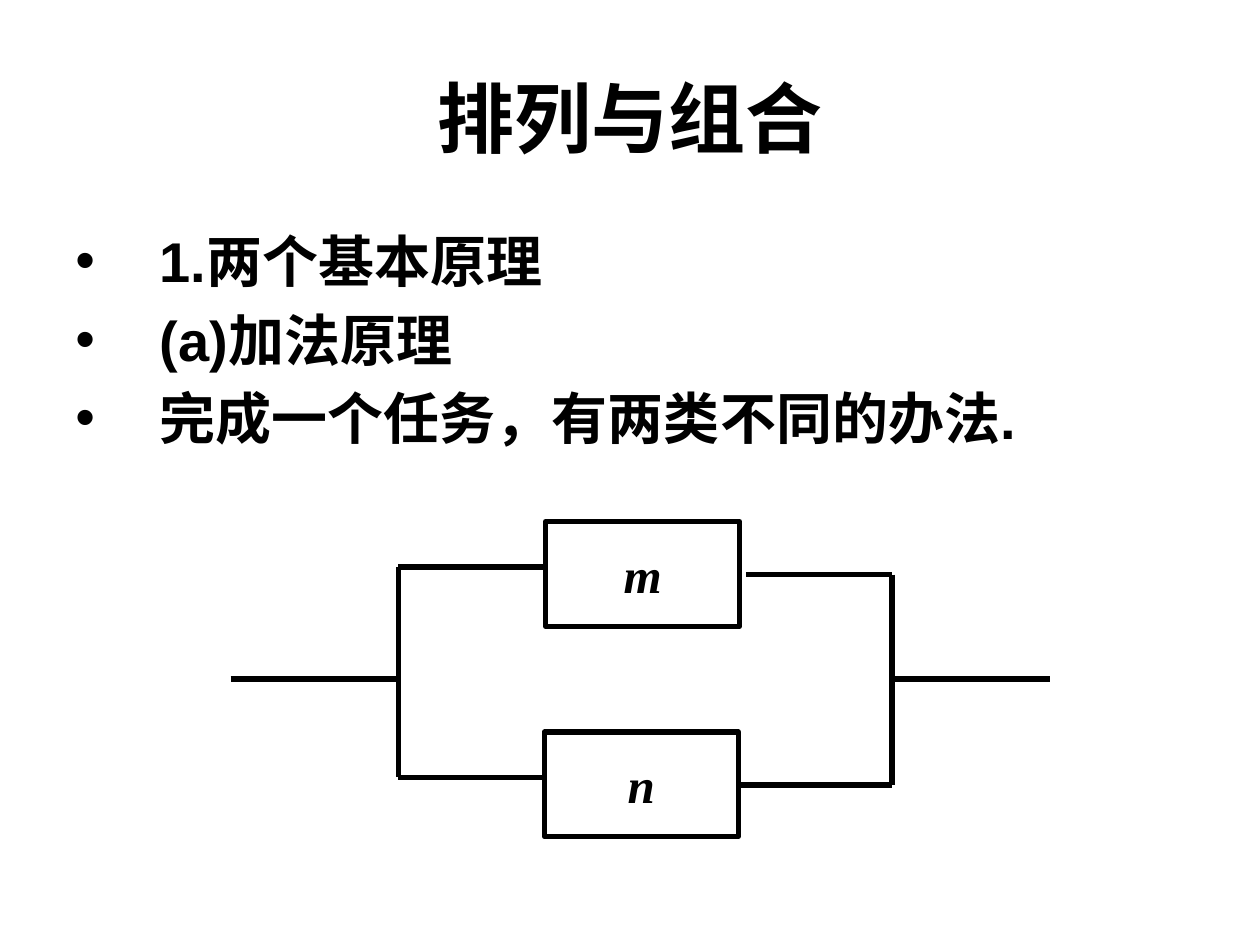
from dataclasses import dataclass
from lxml.etree import SubElement
from pptx import Presentation
from pptx.dml.color import RGBColor
from pptx.enum.shapes import MSO_CONNECTOR, MSO_SHAPE
from pptx.enum.text import MSO_ANCHOR, PP_ALIGN
from pptx.oxml.ns import qn
from pptx.util import Inches, Pt


@dataclass(frozen=True)
class Theme:
    ink: RGBColor = RGBColor(0, 0, 0)
    paper: RGBColor = RGBColor(255, 255, 255)
    sans: str = "Arial"
    serif: str = "Times New Roman"
    title: float = 44
    body: float = 32
    label: float = 28
    line: float = 3


THEME = Theme()


def write(frame, lines, size, font=THEME.sans, italic=False,
          align=PP_ALIGN.LEFT, anchor=MSO_ANCHOR.TOP, wrap=True,
          bullet=None, indent=0, before=0):
    frame.word_wrap = wrap
    frame.vertical_anchor = anchor
    for i, line in enumerate(lines):
        para = frame.add_paragraph() if i else frame.paragraphs[0]
        para.alignment = align
        para.space_before = Pt(before)
        run = para.add_run()
        run.text = line
        run.font.name = font
        run.font.size = Pt(size)
        run.font.bold = True
        run.font.italic = italic
        run.font.color.rgb = THEME.ink
        if bullet:
            props = para._p.get_or_add_pPr()
            props.set("marL", str(Inches(indent)))
            props.set("indent", str(-Inches(indent)))
            SubElement(props, qn("a:buFont")).set("typeface", THEME.sans)
            SubElement(props, qn("a:buChar")).set("char", bullet)


def text(slide, box, lines, size, **style):
    shape = slide.shapes.add_textbox(*map(Inches, box))
    write(shape.text_frame, lines, size, **style)


def wire(slide, x1, y1, x2, y2):
    line = slide.shapes.add_connector(
        MSO_CONNECTOR.STRAIGHT, *map(Inches, (x1, y1, x2, y2)))
    line.line.color.rgb = THEME.ink
    line.line.width = Pt(THEME.line)
    SubElement(line._element.spPr, qn("a:effectLst"))


def block(slide, box, label):
    shape = slide.shapes.add_shape(MSO_SHAPE.RECTANGLE, *map(Inches, box))
    shape.shadow.inherit = False
    shape.fill.solid()
    shape.fill.fore_color.rgb = THEME.paper
    shape.line.color.rgb = THEME.ink
    shape.line.width = Pt(THEME.line)
    write(shape.text_frame, [label], THEME.label, font=THEME.serif,
          italic=True, align=PP_ALIGN.CENTER, anchor=MSO_ANCHOR.MIDDLE,
          wrap=False)


def heading(slide, box):
    text(slide, box, ["排列与组合"], THEME.title,
         align=PP_ALIGN.CENTER, anchor=MSO_ANCHOR.MIDDLE)


def points(slide, box):
    lines = ["1.两个基本原理", "(a)加法原理",
             "完成一个任务，有两类不同的办法."]
    text(slide, box, lines, THEME.body, bullet="•", indent=0.67,
         before=0.2 * THEME.body)


def circuit(slide, box):
    left, top, width, height = box
    right, mid = left + width, top + 1.25
    west, east = left + 1.33, right - 1.25
    wide, high, step = 1.54, 0.83, 1.67
    # Two branches: box, its lead in and its lead out
    branches = (("m", 2.5, 4.09), ("n", 2.49, 4.03))
    for i, (label, start, exit) in enumerate(branches):
        y = top + i * step
        block(slide, (left + start, y, wide, high), label)
        wire(slide, west, y + 0.36, left + 2.49, y + 0.36)
        wire(slide, left + exit, y + 0.42, east, y + 0.42)
    # Side rails
    for x, drop in ((west, 0.36), (east, 0.42)):
        wire(slide, x, top + drop, x, top + drop + step)
    # Outer leads
    wire(slide, left, mid, west, mid)
    wire(slide, east, mid, right, mid)


def build():
    deck = Presentation()
    deck.slide_width, deck.slide_height = Inches(10), Inches(7.5)
    slide = deck.slides.add_slide(deck.slide_layouts[6])
    slide.background.fill.solid()
    slide.background.fill.fore_color.rgb = THEME.paper
    heading(slide, (0.5, 0.3, 9, 1.25))
    points(slide, (0.5, 1.75, 9, 4.95))
    circuit(slide, (1.83, 4.14, 6.5, 2.5))
    deck.save("out.pptx")


build()
